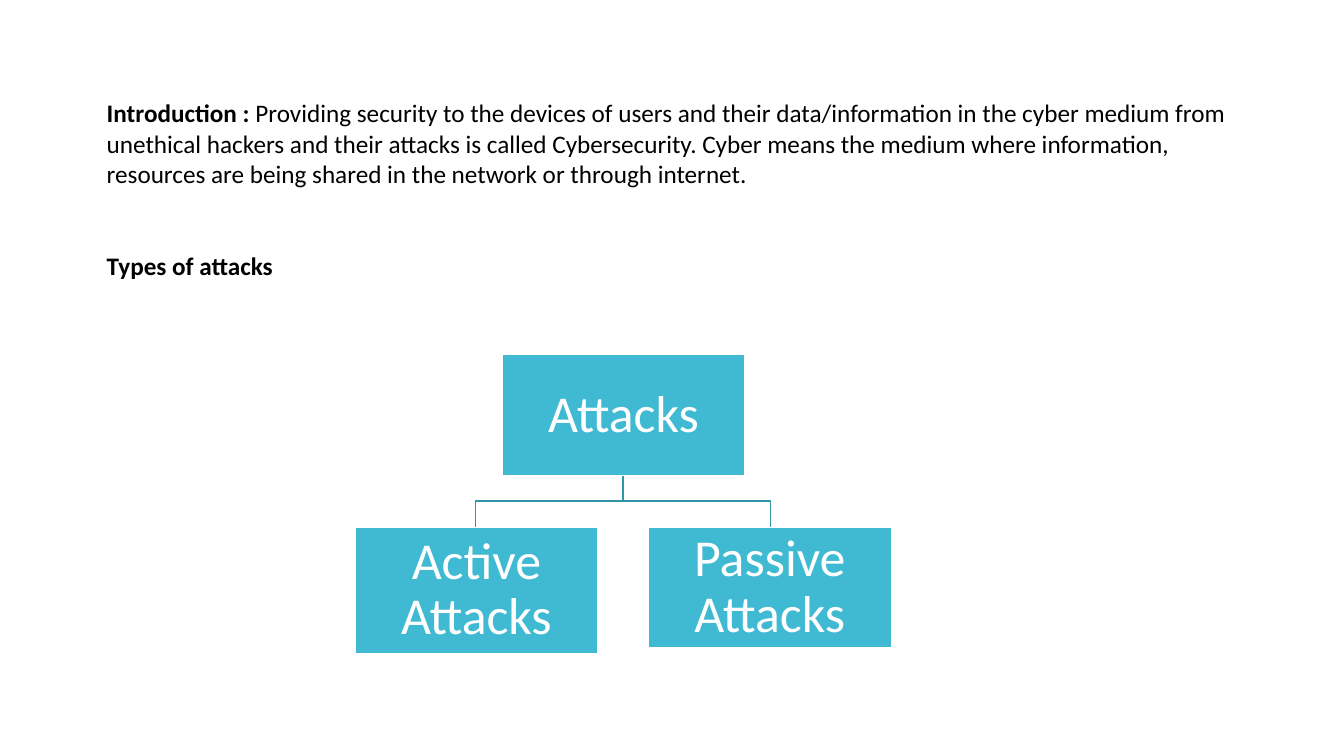
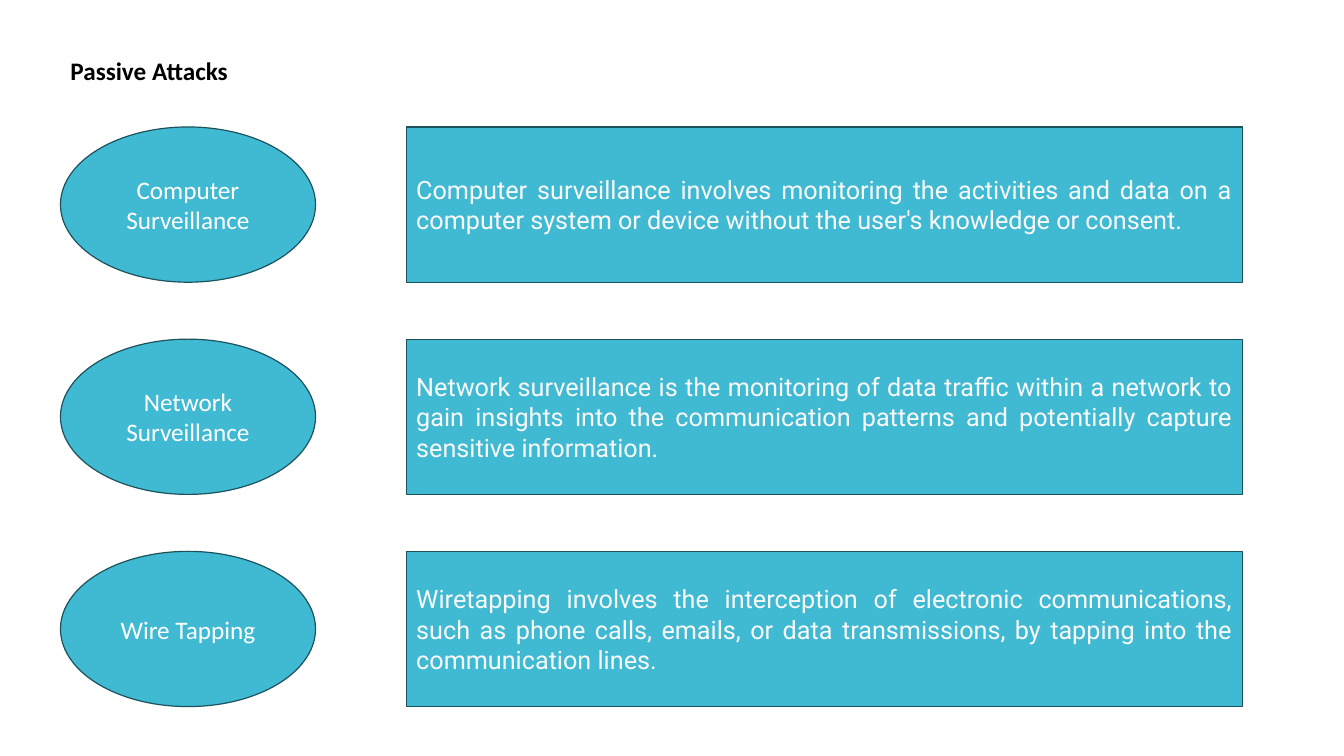
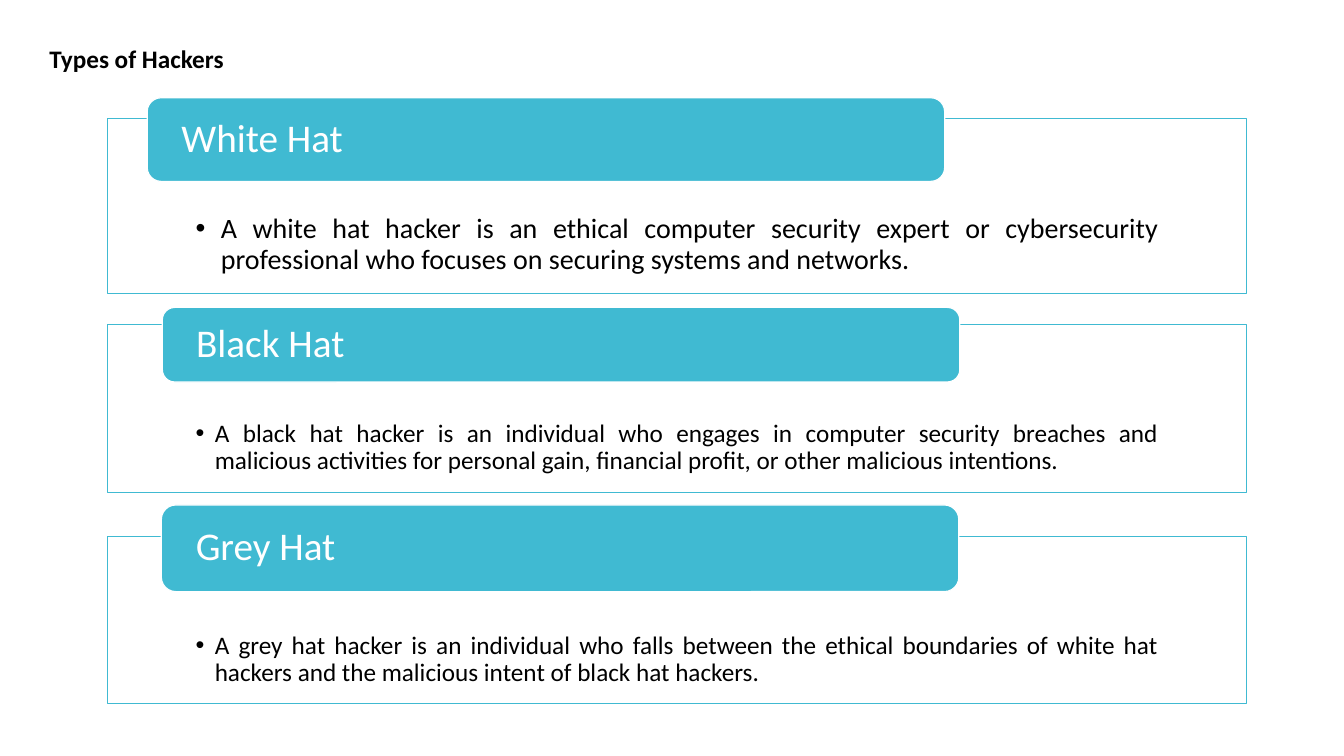
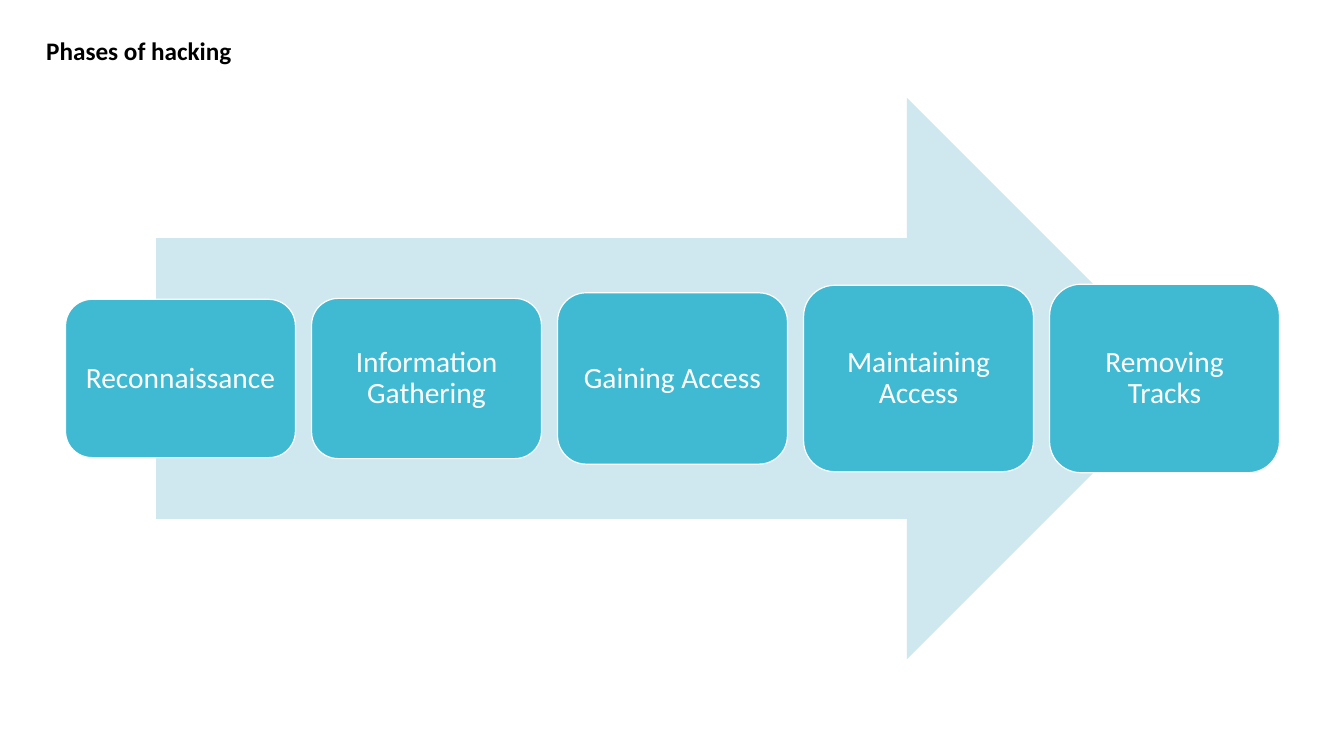
"""Build four slides on cybersecurity: attacks, passive attacks, hackers and phases of hacking."""
from lxml.etree import SubElement
from pptx import Presentation
from pptx.dml.color import RGBColor
from pptx.enum.shapes import MSO_SHAPE
from pptx.enum.text import MSO_ANCHOR, PP_ALIGN
from pptx.oxml.ns import qn
from pptx.util import Inches, Pt

TEAL, DARK_TEAL, LINE_TEAL, PALE_TEAL = "40BAD2", "1C525C", "3395A8", "CFE7EE"
WHITE, OFF_WHITE, BLACK = "FFFFFF", "F9F9F9", "000000"
FONT = "Calibri"
LINE_WIDTH = Pt(0.85)
PLAIN_INSETS = (0.1, 0.05, 0.1, 0.05)


def add_box(slide, kind, place, fill, line=None):
    shape = slide.shapes.add_shape(kind, *map(Inches, place))
    shape.shadow.inherit = False
    shape.fill.solid()
    shape.fill.fore_color.rgb = RGBColor.from_string(fill)
    if line:
        shape.line.color.rgb = RGBColor.from_string(line)
        shape.line.width = LINE_WIDTH
    else:
        shape.line.fill.background()
    return shape


def write(shape, text, size, color=WHITE, align=PP_ALIGN.CENTER, anchor=MSO_ANCHOR.MIDDLE,
          insets=PLAIN_INSETS, spacing=None, font=FONT, bold=False, wrap=True):
    frame = shape.text_frame
    frame.text = text
    frame.word_wrap = wrap
    frame.vertical_anchor = anchor
    frame.margin_left, frame.margin_top, frame.margin_right, frame.margin_bottom = map(Inches, insets)
    paragraph = frame.paragraphs[0]
    paragraph.alignment = align
    paragraph.line_spacing = spacing
    run = paragraph.runs[0]
    run.font.name = font
    run.font.size = Pt(size)
    run.font.bold = bold
    run.font.color.rgb = RGBColor.from_string(color)
    return paragraph


presentation = Presentation()
presentation.slide_width = Inches(13.33)
presentation.slide_height = Inches(7.5)

titles = [
    ("Types of attacks", 0.96, 2.43, 1.87),
    ("Passive Attacks", 0.6, 0.5, 1.78),
    ("Types of Hackers", 0.39, 0.38, 1.95),
    ("Phases of hacking", 0.36, 0.3, 2.05),
]
slides = []
for title, left, top, width in titles:
    slide = presentation.slides.add_slide(presentation.slide_layouts[6])
    title_box = slide.shapes.add_textbox(Inches(left), Inches(top), Inches(width), Inches(0.4))
    write(title_box, title, 18, BLACK, PP_ALIGN.LEFT, MSO_ANCHOR.TOP, bold=True, wrap=False)
    slides.append(slide)
attacks_slide, passive_slide, hackers_slide, phases_slide = slides

introduction = attacks_slide.shapes.add_textbox(Inches(0.96), Inches(0.92), Inches(11.41), Inches(1.01))
paragraph = write(introduction, "Introduction : ", 18, BLACK, PP_ALIGN.LEFT, MSO_ANCHOR.TOP, bold=True)
run = paragraph.add_run()
run.text = (
    "Providing security to the devices of users and their data/information in the cyber medium "
    "from unethical hackers and their attacks is called Cybersecurity. Cyber means the medium "
    "where information, resources are being shared in the network or through internet."
)
run.font.name = FONT
run.font.size = Pt(18)
run.font.color.rgb = RGBColor.from_string(BLACK)

root_x, left_x, right_x = 6.18, 4.72, 7.64
root_bottom, branch_y, child_top = 4.72, 4.97, 5.23
for child_x in (right_x, left_x):
    builder = attacks_slide.shapes.build_freeform(Inches(root_x), Inches(root_bottom))
    corners = [(root_x, branch_y), (child_x, branch_y), (child_x, child_top)]
    builder.add_line_segments([(Inches(x), Inches(y)) for x, y in corners], close=False)
    branch = builder.convert_to_shape()
    branch.shadow.inherit = False
    branch.fill.background()
    branch.line.color.rgb = RGBColor.from_string(LINE_TEAL)
    branch.line.width = LINE_WIDTH

attack_width = 2.41
attacks = [
    ("Attacks", 4.98, 3.52, 1.2),
    ("Active Attacks", 3.52, child_top, 1.25),
    ("Passive Attacks", 6.43, child_top, 1.2),
]
for name, left, top, height in attacks:
    shape = add_box(attacks_slide, MSO_SHAPE.RECTANGLE, (left, top, attack_width, height), TEAL, WHITE)
    write(shape, name, 37, insets=(0.03,) * 4, spacing=0.9)

passive_attacks = [
    ("Computer Surveillance",
     "Computer surveillance involves monitoring the activities and data on a computer system or "
     "device without the user's knowledge or consent."),
    ("Network Surveillance",
     "Network surveillance is the monitoring of data traffic within a network to gain insights into "
     "the communication patterns and potentially capture sensitive information."),
    ("Wire Tapping",
     "Wiretapping involves the interception of electronic communications, such as phone calls, "
     "emails, or data transmissions, by tapping into the communication lines."),
]
for row, (name, description) in enumerate(passive_attacks):
    top = 1.26 + row * 2.105
    ellipse = add_box(passive_slide, MSO_SHAPE.OVAL, (0.6, top, 2.53, 1.54), TEAL, DARK_TEAL)
    write(ellipse, name, 18)
    panel = add_box(passive_slide, MSO_SHAPE.RECTANGLE, (4.03, top, 8.29, 1.54), TEAL, DARK_TEAL)
    write(panel, description, 18, OFF_WHITE, PP_ALIGN.JUSTIFY, font="Roboto")

hackers = [
    ("White Hat", (1.46, 0.97, 7.91, 0.83), 1.18, 1.73, 0.95, 20, 0.25,
     "A white hat hacker is an ethical computer security expert or cybersecurity professional who "
     "focuses on securing systems and networks."),
    ("Black Hat", (1.61, 3.05, 7.91, 0.74), 3.22, 1.67, 0.95, 18, 0.19,
     "A black hat hacker is an individual who engages in computer security breaches and malicious "
     "activities for personal gain, financial profit, or other malicious intentions."),
    ("Grey Hat", (1.6, 5.01, 7.91, 0.86), 5.32, 1.66, 0.96, 18, 0.19,
     "A grey hat hacker is an individual who falls between the ethical boundaries of white hat "
     "hackers and the malicious intent of black hat hackers."),
]
for name, label_place, top, height, top_inset, size, indent, description in hackers:
    panel = add_box(hackers_slide, MSO_SHAPE.RECTANGLE, (1.07, top, 11.29, height), WHITE, TEAL)
    paragraph = write(panel, description, size, BLACK, PP_ALIGN.JUSTIFY, MSO_ANCHOR.TOP,
                      (0.87, top_inset, 0.87, 0.14), 0.9)
    paragraph.level = 1
    properties = paragraph._p.get_or_add_pPr()
    properties.set("marL", str(Inches(indent)))
    properties.set("indent", str(-Inches(indent)))
    SubElement(properties, qn("a:buFont"), typeface="Arial")
    SubElement(properties, qn("a:buChar"), char="•")
    label = add_box(hackers_slide, MSO_SHAPE.ROUNDED_RECTANGLE, label_place, TEAL, WHITE)
    write(label, name, 28, align=PP_ALIGN.LEFT, insets=(0.3, 0, 0.3, 0), spacing=0.9)

arrow_top, arrow_height = 0.97, 5.57
add_box(phases_slide, MSO_SHAPE.RIGHT_ARROW, (1.55, arrow_top, 10.23, arrow_height), PALE_TEAL)
middle = arrow_top + arrow_height / 2
phases = [
    ("Reconnaissance", 1.57),
    ("Information Gathering", 1.59),
    ("Gaining Access", 1.7),
    ("Maintaining Access", 1.85),
    ("Removing Tracks", 1.87),
]
for column, (name, height) in enumerate(phases):
    place = (0.65 + column * 2.44, middle - height / 2, 2.28, height)
    shape = add_box(phases_slide, MSO_SHAPE.ROUNDED_RECTANGLE, place, TEAL, WHITE)
    write(shape, name, 21, insets=(0.09,) * 4, spacing=0.9)

presentation.save("out.pptx")
